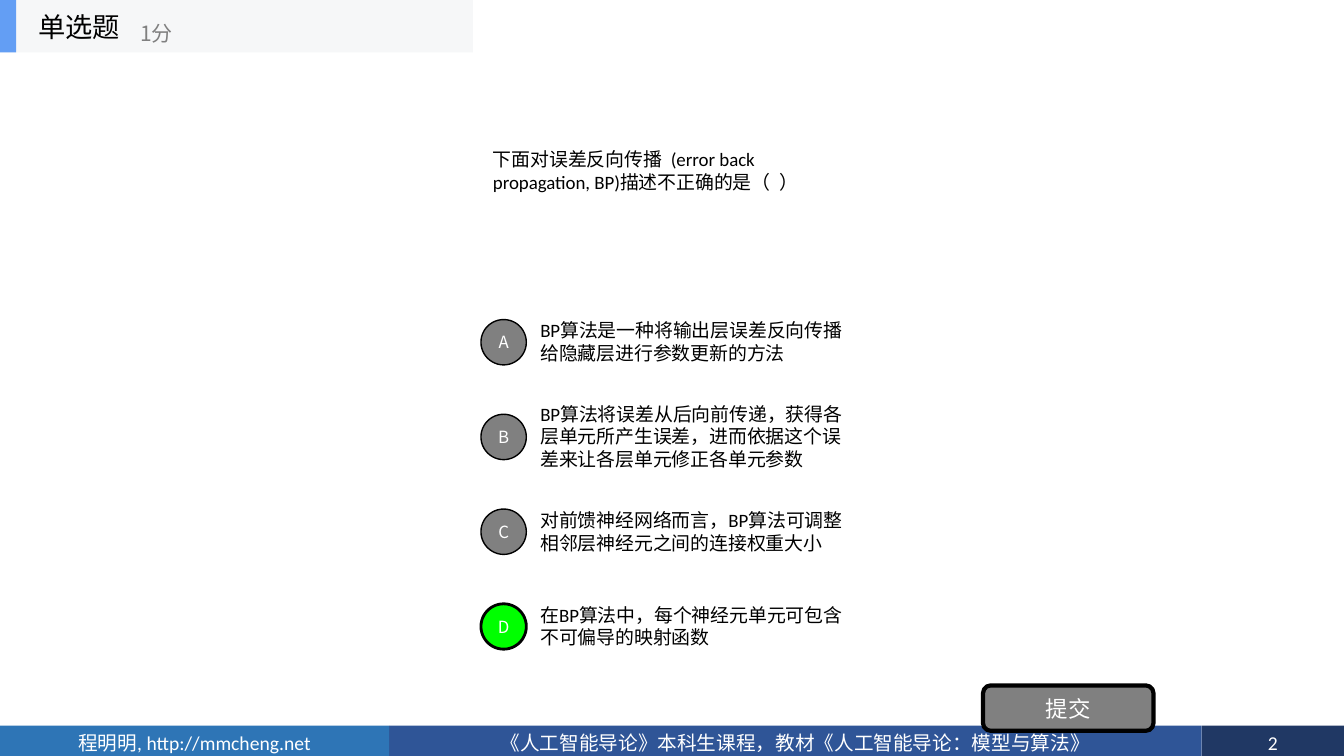
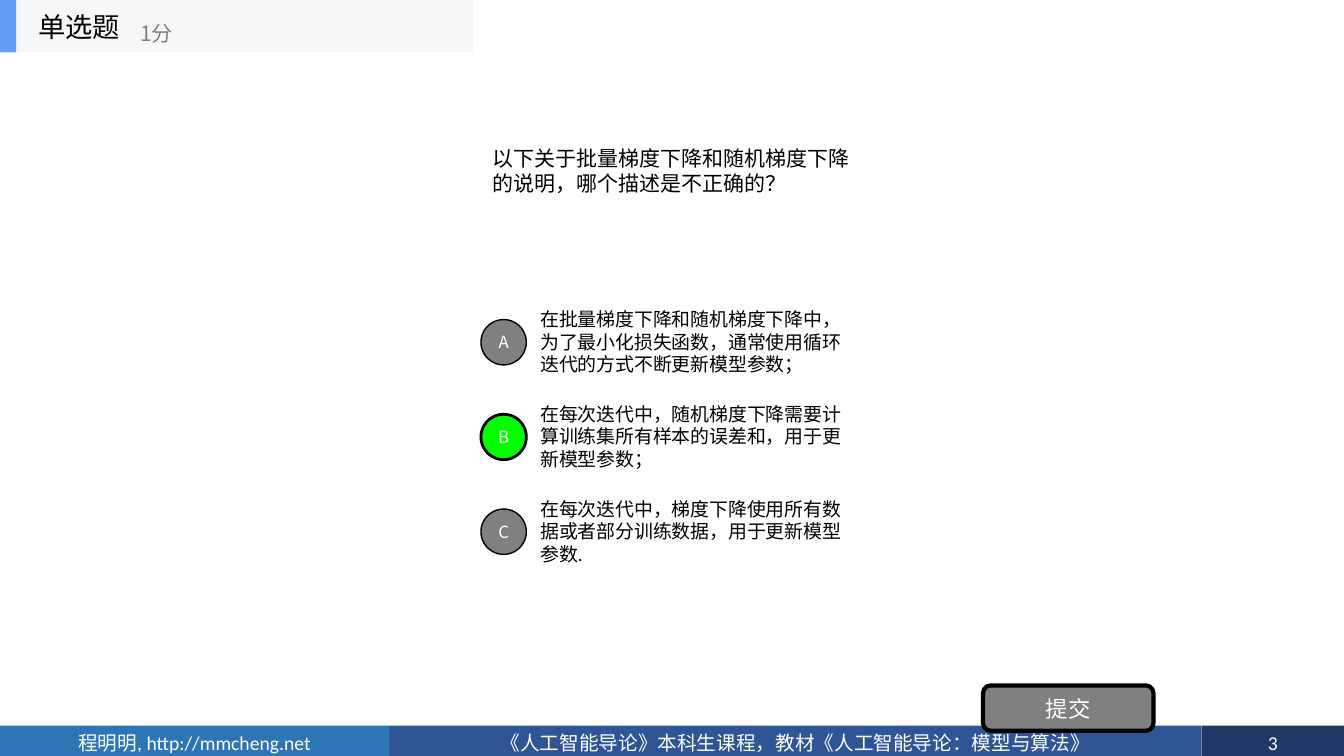
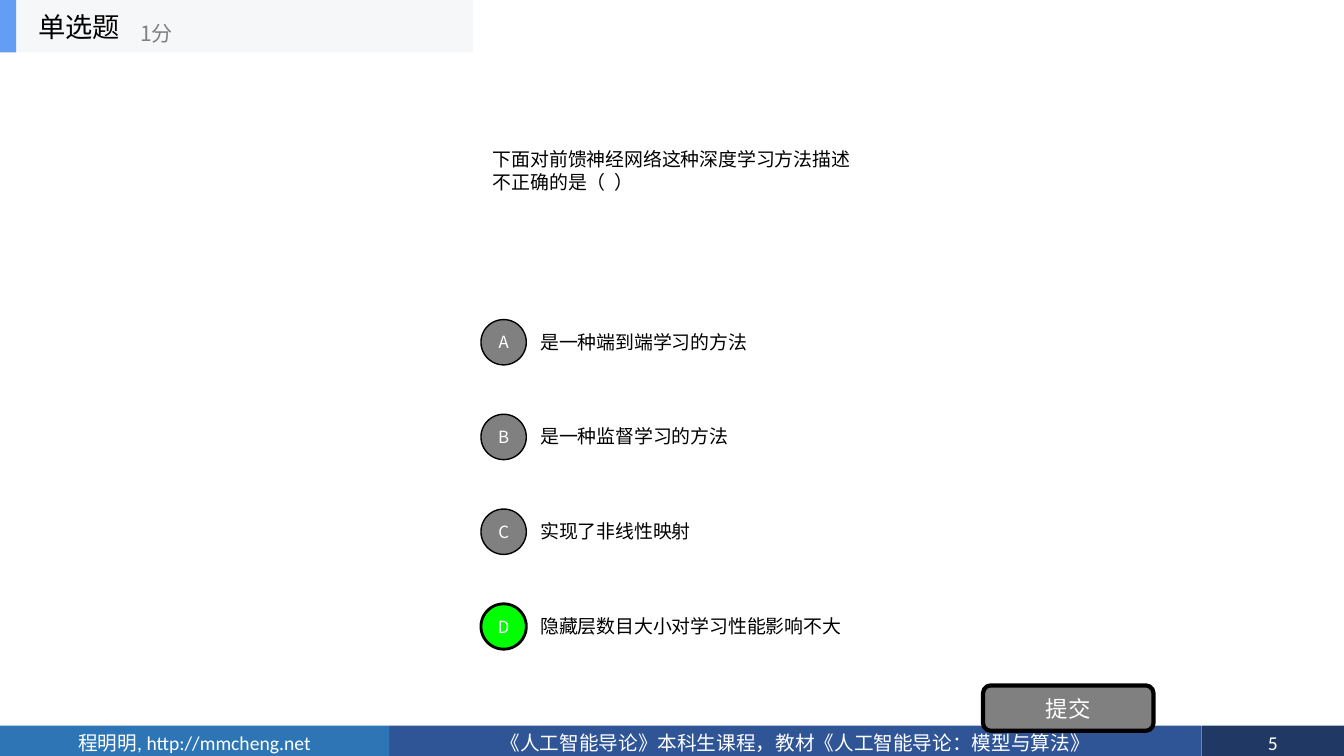
from pptx import Presentation
from pptx.dml.color import RGBColor
from pptx.enum.shapes import MSO_SHAPE
from pptx.enum.text import MSO_ANCHOR, PP_ALIGN
from pptx.util import Inches, Pt
from pptx.oxml.ns import qn
from lxml.etree import SubElement

COLORS = {
    "black": "000000", "white": "FFFFFF", "gray": "808080", "correct": "00FF00",
    "header": "F6F7F8", "accent": "639EF4",
    "author": "2E75B6", "course": "2F5597", "number": "203864",
}
LATIN, CHINESE = "Calibri", "Noto Sans CJK SC"

# slide number, question, question size, options, letter of the right option
QUIZZES = [
    (2, "下面对误差反向传播  (error back propagation, BP)描述不正确的是（  ）", 13.5, [
        "BP算法是一种将输出层误差反向传播给隐藏层进行参数更新的方法",
        "BP算法将误差从后向前传递，获得各层单元所产生误差，进而依据这个误差来让各层单元修正各单元参数",
        "对前馈神经网络而言，BP算法可调整相邻层神经元之间的连接权重大小",
        "在BP算法中，每个神经元单元可包含不可偏导的映射函数",
    ], "D"),
    (3, "以下关于批量梯度下降和随机梯度下降的说明，哪个描述是不正确的？", 15, [
        "在批量梯度下降和随机梯度下降中，为了最小化损失函数，通常使用循环迭代的方式不断更新模型参数；",
        "在每次迭代中，随机梯度下降需要计算训练集所有样本的误差和，用于更新模型参数；",
        "在每次迭代中，梯度下降使用所有数据或者部分训练数据，用于更新模型参数.",
    ], "B"),
    (5, "下面对前馈神经网络这种深度学习方法描述不正确的是（  ）", 13.5, [
        "是一种端到端学习的方法",
        "是一种监督学习的方法",
        "实现了非线性映射",
        "隐藏层数目大小对学习性能影响不大",
    ], "D"),
]


def rgb(name):
    return RGBColor.from_string(COLORS[name])


class QuizDeck:
    def __init__(self):
        self.presentation = Presentation()
        self.presentation.slide_width = Inches(13.33)
        self.presentation.slide_height = Inches(7.5)
        self.slide = None

    def new_slide(self):
        blank = self.presentation.slide_layouts[6]
        self.slide = self.presentation.slides.add_slide(blank)

    def add_words(self, shape, words, size, font, color, align):
        frame = shape.text_frame
        frame.word_wrap = True
        frame.vertical_anchor = MSO_ANCHOR.MIDDLE
        paragraph = frame.paragraphs[0]
        paragraph.alignment = align
        run = paragraph.add_run()
        run.text = words
        run.font.size = Pt(size)
        run.font.name = font
        run.font.color.rgb = rgb(color)
        SubElement(run.font._element, qn("a:ea")).set("typeface", font)

    def text(self, box, words, size, font=LATIN, color="black"):
        label = self.slide.shapes.add_textbox(*map(Inches, box))
        self.add_words(label, words, size, font, color, PP_ALIGN.LEFT)

    def panel(self, box, fill, words="", size=14, font=LATIN,
              preset=MSO_SHAPE.RECTANGLE, border=0):
        """Filled shape, with a black border and centred white text if given."""
        shape = self.slide.shapes.add_shape(preset, *map(Inches, box))
        shape.shadow.inherit = False
        shape.fill.solid()
        shape.fill.fore_color.rgb = rgb(fill)
        if border:
            shape.line.color.rgb = rgb("black")
            shape.line.width = Pt(border)
        else:
            shape.line.fill.background()
        if words:
            frame = shape.text_frame
            frame.margin_left = frame.margin_right = 0
            frame.margin_top = frame.margin_bottom = 0
            self.add_words(shape, words, size, font, "white", PP_ALIGN.CENTER)

    def footer(self, number):
        top, height = 7.2, 0.34
        self.panel((3.86, top, 8.06, height), "course",
                   "《人工智能导论》本科生课程，教材《人工智能导论：模型与算法》")
        self.panel((0, top, 3.86, height), "author", "程明明, http://mmcheng.net")
        self.panel((11.92, top, 1.41, height), "number", str(number))

    def header(self):
        self.panel((0, 0, 4.69, 0.52), "header")
        self.panel((0, 0, 0.16, 0.52), "accent")
        self.text((0.28, 0, 1.56, 0.52), "单选题", 19.5, CHINESE)
        self.text((1.29, 0.12, 1.88, 0.42), "1分", 15, CHINESE, "gray")

    def option(self, row, letter, answer, is_correct):
        top = 3.04 + 0.94 * row
        self.text((5.26, top, 3.28, 0.7), answer, 13.5)
        self.panel((4.77, top + 0.13, 0.45, 0.45),
                   "correct" if is_correct else "gray", letter, 12, CHINESE,
                   MSO_SHAPE.OVAL, 2 if is_correct else 1)

    def submit_button(self):
        self.panel((9.75, 6.8, 1.69, 0.45), "gray", "提交", 16, CHINESE,
                   MSO_SHAPE.ROUNDED_RECTANGLE, 3)

    def quiz(self, number, question, question_size, answers, correct):
        self.new_slide()
        self.footer(number)
        self.text((4.79, 0.52, 3.75, 2.34), question, question_size)
        for row, (letter, answer) in enumerate(zip("ABCD", answers)):
            self.option(row, letter, answer, letter == correct)
        self.submit_button()
        self.header()


def main():
    deck = QuizDeck()
    for quiz in QUIZZES:
        deck.quiz(*quiz)
    deck.presentation.save("out.pptx")


if __name__ == "__main__":
    main()
